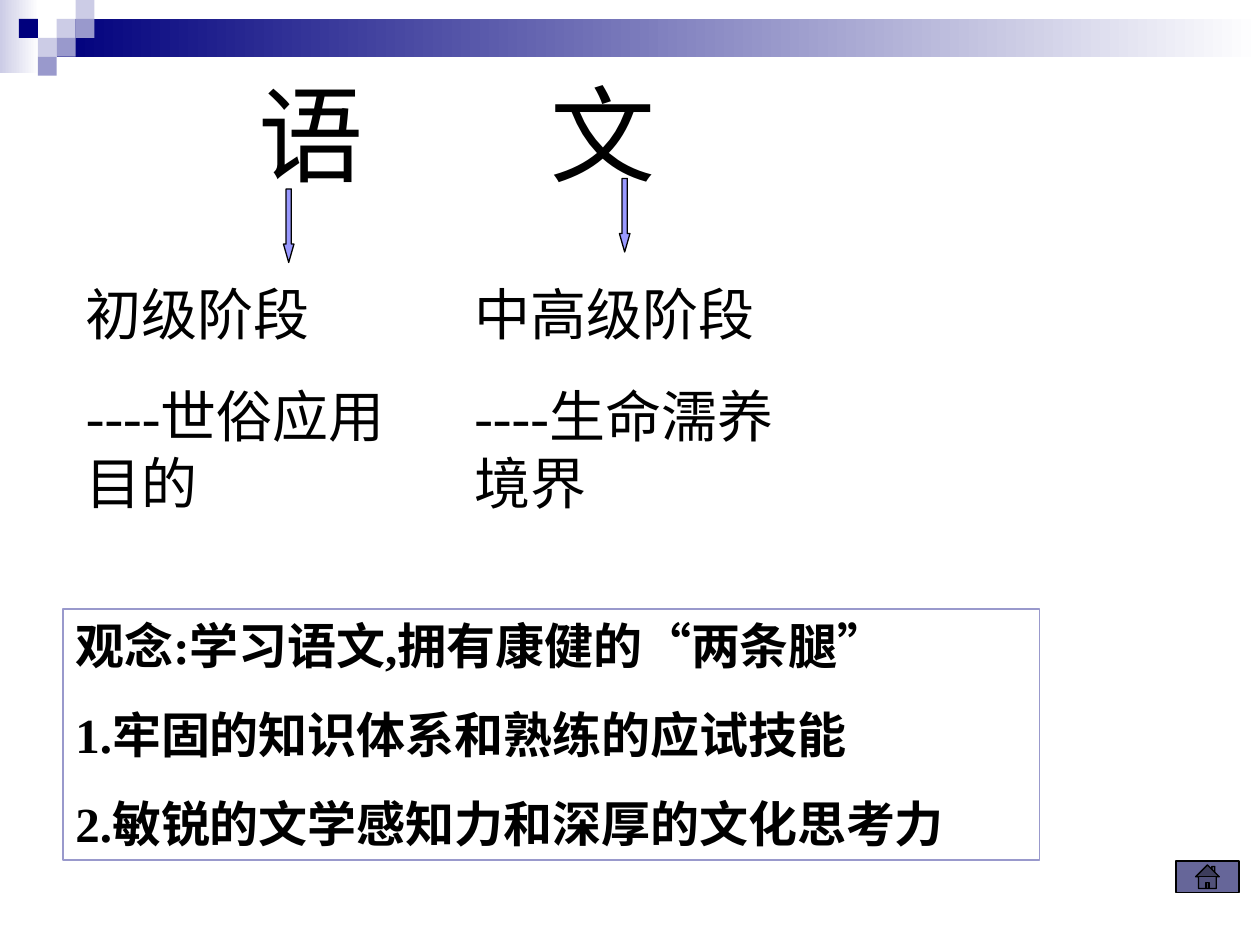
"""Builds a slide on the two stages of learning Chinese."""
from dataclasses import dataclass

import pptx
import pptx.dml.color
import pptx.enum.shapes
import pptx.enum.text
import pptx.oxml
import pptx.oxml.ns
import pptx.util

SHAPE = pptx.enum.shapes.MSO_SHAPE
CELL = pptx.util.Inches(10) // 120
TILE = 1.8
LATIN, CHINESE = "Times New Roman", "Noto Sans CJK SC"
NAVY, LILAC, PALE, WHITE, BLACK = "00007D", "9999CC", "CCCCE6", "FFFFFF", "000000"


@dataclass(frozen=True)
class Box:
    """Place and size in cells of a 120 by 90 grid."""
    column: float
    row: float
    columns: float
    rows: float

    def lengths(self) -> list[int]:
        """Return left, top, width and height."""
        return [round(value * CELL) for value in (self.column, self.row, self.columns, self.rows)]


@dataclass(frozen=True)
class Tile:
    """One small square of the corner mosaic."""
    column: int
    row: int
    fill: str


@dataclass(frozen=True)
class Stage:
    """One learning stage with the arrow that leads to it."""
    arrow: Box
    box: Box
    name: str
    aim: str


BANDS = [(Box(0, 0, 3.7, 7), PALE), (Box(5.4, TILE, 114.6, 3.6), NAVY)]
TILES = [
    Tile(3, 1, PALE), Tile(4, 0, PALE), Tile(4, 1, LILAC), Tile(2, 2, PALE),
    Tile(1, 1, NAVY), Tile(3, 2, LILAC), Tile(2, 3, LILAC),
]
STAGES = [
    Stage(Box(27, 18, 1, 7), Box(7, 26, 32, 23.8), "初级阶段", "世俗应用目的"),
    Stage(Box(59, 17, 1, 7), Box(44, 26, 35, 23.8), "中高级阶段", "生命濡养境界"),
]
IDEAS = [
    "观念:学习语文,拥有康健的“两条腿”",
    "1.牢固的知识体系和熟练的应试技能",
    "2.敏锐的文学感知力和深厚的文化思考力",
]


def colour(value: str) -> pptx.dml.color.RGBColor:
    """Turn a hex string into a colour."""
    return pptx.dml.color.RGBColor.from_string(value)


def add_box(slide, kind, box: Box, fill: str | None = None, line: str | None = None):
    """Add a preset shape with a plain fill and a thin line."""
    shape = slide.shapes.add_shape(kind, *box.lengths())
    shape.shadow.inherit = False
    if fill:
        shape.fill.solid()
        shape.fill.fore_color.rgb = colour(fill)
    else:
        shape.fill.background()
    if line:
        shape.line.color.rgb = colour(line)
        shape.line.width = pptx.util.Pt(0.75)
    else:
        shape.line.fill.background()
    return shape


def add_band(slide, box: Box, start: str) -> None:
    """Add a rectangle that fades to white on the right."""
    fill = add_box(slide, SHAPE.RECTANGLE, box, start).fill
    fill.gradient()
    fill.gradient_angle = 0
    for stop, value, position in zip(fill.gradient_stops, (start, WHITE), (0, 1)):
        stop.color.rgb = colour(value)
        stop.position = position


def add_run(paragraph, text: str, size: int, font: str = LATIN, bold: bool = False) -> None:
    """Add a black run with a Latin and a Chinese font."""
    run = paragraph.add_run()
    run.text = text
    run.font.name = font
    run.font.size = pptx.util.Pt(size)
    run.font.bold = bold
    run.font.color.rgb = colour(BLACK)
    properties = run.font._element
    east_asian = pptx.oxml.parse_xml(
        f'<a:ea {pptx.oxml.ns.nsdecls("a")} typeface="{CHINESE}"/>')
    properties.find(pptx.oxml.ns.qn("a:latin")).addnext(east_asian)


def prepare_frame(shape):
    """Make the text wrap from the top of the shape."""
    frame = shape.text_frame
    frame.word_wrap = True
    frame.auto_size = pptx.enum.text.MSO_AUTO_SIZE.NONE
    frame.vertical_anchor = pptx.enum.text.MSO_ANCHOR.TOP
    return frame


def add_paragraph(frame, index: int, size: int, gap: float = 0):
    """Return a left-aligned paragraph with a gap above all but the first."""
    paragraph = frame.add_paragraph() if index else frame.paragraphs[0]
    paragraph.alignment = pptx.enum.text.PP_ALIGN.LEFT
    paragraph.line_spacing = pptx.util.Pt(size * 1.2)
    paragraph.space_before = pptx.util.Pt(gap if index else 0)
    return paragraph


def format_title(title) -> None:
    """Set the two title characters, the second one on a tab stop."""
    title.left, title.top, title.width, title.height = Box(15, 6, 57, 13.2).lengths()
    frame = prepare_frame(title)
    frame.margin_left = pptx.util.Inches(0.8)
    paragraph = add_paragraph(frame, 0, 60)
    tabs = pptx.oxml.parse_xml(
        f'<a:tabLst {pptx.oxml.ns.nsdecls("a")}>'
        f'<a:tab pos="{pptx.util.Inches(2.32)}" algn="l"/></a:tabLst>')
    paragraph._p.get_or_add_pPr().append(tabs)
    add_run(paragraph, "语\t文", 60)


def add_stage(slide, stage: Stage) -> None:
    """Add a stage's arrow, name and aim."""
    arrow = add_box(slide, SHAPE.DOWN_ARROW, stage.arrow, "9999FF", BLACK)
    arrow.adjustments[0], arrow.adjustments[1] = 0.5, 1.75
    frame = prepare_frame(slide.shapes.add_textbox(*stage.box.lengths()))
    add_run(add_paragraph(frame, 0, 32), stage.name, 32, CHINESE)
    aim = add_paragraph(frame, 1, 32, 20)
    add_run(aim, "----", 32)
    add_run(aim, stage.aim, 32, CHINESE)


def main() -> None:
    """Build and save the slide."""
    presentation = pptx.Presentation()
    presentation.slide_width, presentation.slide_height = 120 * CELL, 90 * CELL
    slide = presentation.slides.add_slide(presentation.slide_layouts[5])
    for box, start in BANDS:
        add_band(slide, box, start)
    for tile in TILES:
        place = Box(tile.column * TILE, tile.row * TILE, TILE, TILE)
        add_box(slide, SHAPE.RECTANGLE, place, tile.fill)
    format_title(slide.shapes.title)
    for stage in STAGES:
        add_stage(slide, stage)
    frame = prepare_frame(add_box(slide, SHAPE.RECTANGLE, Box(6, 58, 93, 23.9), line=LILAC))
    for index, idea in enumerate(IDEAS):
        add_run(add_paragraph(frame, index, 28, 17.5), idea, 28, bold=True)
    add_box(slide, SHAPE.ACTION_BUTTON_HOME, Box(112, 82, 6, 3), "666699", BLACK)
    presentation.save("out.pptx")


if __name__ == "__main__":
    main()
